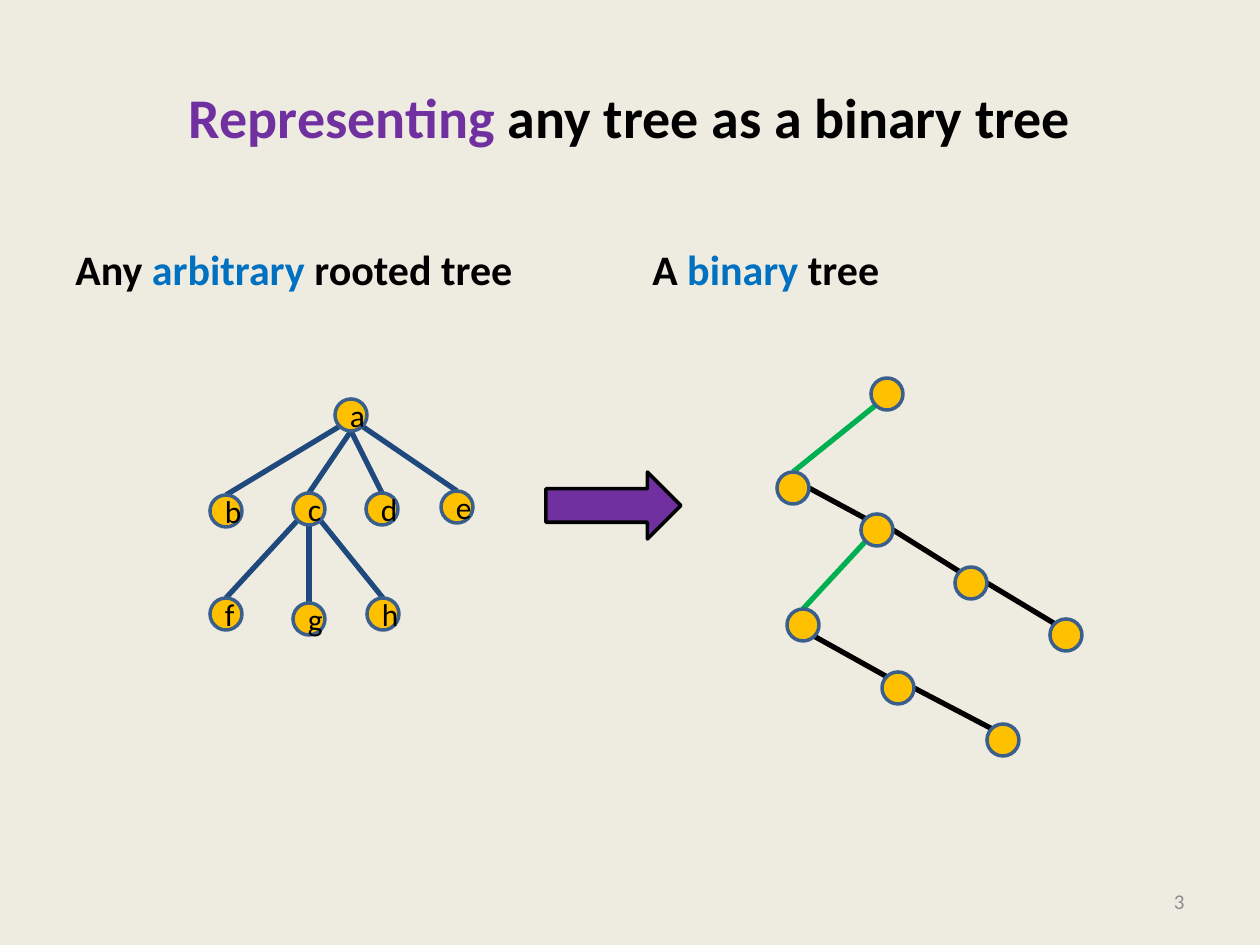
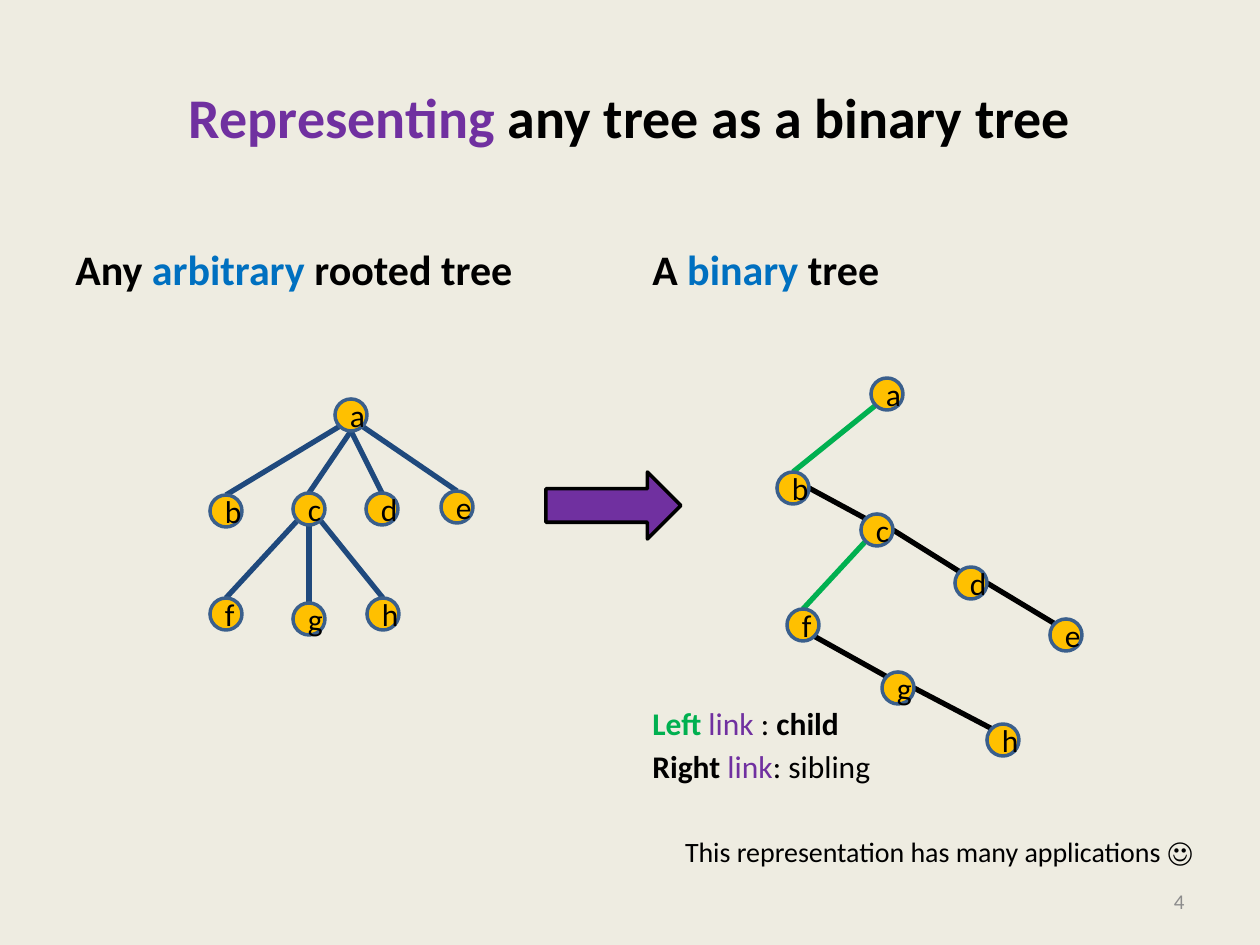
from dataclasses import dataclass
from pptx import Presentation, util as u
from pptx.dml.color import RGBColor
from pptx.enum import shapes, text
from pptx.oxml import parse_xml
from pptx.oxml.ns import nsdecls, qn
from lxml import etree


@dataclass(frozen=True)
class Theme:
    font: str = "Calibri"
    bg: str = "EEECE1"
    ink: str = "000000"
    purple: str = "7030A0"
    blue: str = "0070C0"
    green: str = "00B050"
    gold: str = "FFC000"
    node_line: str = "3A5F8C"
    edge: str = "1F497D"
    grey: str = "8C8C8C"
    title: int = 32
    heading: int = 24
    body: int = 18
    remark: int = 16
    number: int = 12


T = Theme()
PX = 914400 // 126  # EMU in one pixel
NODE = 32           # node diameter

# Content: each run is (text, colour, bold)
TITLE = [("Representing", T.purple, True), (" any tree as a binary tree", T.ink, True)]
HEADINGS = [
    (63, [("Any ", T.ink, True), ("arbitrary", T.blue, True), (" rooted tree", T.ink, True)]),
    (640, [("A ", T.ink, True), ("binary", T.blue, True), (" tree", T.ink, True)]),
]
LEGEND = [
    [("Left ", T.green, True), ("link", T.purple, False), (" : ", T.ink, False),
     ("child", T.ink, True)],
    [("Right ", T.ink, True), ("link", T.purple, False), (": sibling", T.ink, False)],
]
REMARK = [("This representation has many applications \u263a", T.ink, False)]

# Trees: node centres, then edges as (from, side, to, side, colour)
ROOTED = {
    "nodes": dict(a=(351, 415), b=(226, 511), c=(309, 509), d=(382, 509),
                  e=(457, 507), f=(226, 614), g=(309, 619), h=(383, 614)),
    "edges": [(start, side, end, "N", T.edge) for start, side, end in (
        ("a", "SW", "b"), ("a", "S", "c"), ("a", "S", "d"), ("a", "SE", "e"),
        ("c", "SW", "f"), ("c", "S", "g"), ("c", "SE", "h"))],
}
BINARY = {
    "nodes": dict(a=(887, 394), b=(793, 488), c=(877, 530), d=(971, 583),
                  e=(1066, 635), f=(803, 625), g=(898, 688), h=(1003, 740)),
    "edges": [("a", "SW", "b", "N", T.green), ("c", "SW", "f", "N", T.green)]
    + [(start, side, end, "NW", T.ink) for start, side, end in (
        ("b", "E", "c"), ("c", "E", "d"), ("d", "E", "e"),
        ("f", "SE", "g"), ("g", "E", "h"))],
}
DIAG = 0.71
SIDES = {"N": (0, -1), "S": (0, 1), "E": (1, 0), "NW": (-DIAG, -DIAG),
         "SW": (-DIAG, DIAG), "SE": (DIAG, DIAG)}

# (slide number, binary nodes are lettered and explained)
SLIDES = [(3, False), (4, True)]


def emu(*pixels):
    return [round(v * PX) for v in pixels]


def rgb(value):
    return RGBColor.from_string(value)


def add_runs(p, runs, size):
    for words, color, bold in runs:
        r = p.add_run()
        r.text = words
        r.font.name, r.font.size, r.font.bold = T.font, u.Pt(size), bold
        r.font.color.rgb = rgb(color)


def text_box(s, box, anchor):
    tf = s.shapes.add_textbox(*emu(*box)).text_frame
    tf.word_wrap, tf.vertical_anchor = True, anchor
    return tf


def style(sp, fill, line, width):
    sp.shadow.inherit = False
    sp.fill.solid()
    sp.fill.fore_color.rgb = rgb(fill)
    sp.line.color.rgb, sp.line.width = rgb(line), u.Pt(width)


def add_tree(s, tree, lettered):
    group = s.shapes.add_group_shape().shapes
    nodes = tree["nodes"]

    def site(name, side):
        return emu(*(c + d * NODE / 2 for c, d in zip(nodes[name], SIDES[side])))

    for start, side, end, end_side, color in tree["edges"]:
        line = group.add_connector(shapes.MSO_CONNECTOR.STRAIGHT,
                                   *site(start, side), *site(end, end_side))
        line.line.color.rgb, line.line.width = rgb(color), u.Pt(3)
        etree.SubElement(line._element.spPr, qn("a:effectLst"))
    for name, (x, y) in nodes.items():
        sp = group.add_shape(shapes.MSO_SHAPE.OVAL,
                             *emu(x - NODE / 2, y - NODE / 2, NODE, NODE))
        style(sp, T.gold, T.node_line, 2)
        if lettered:
            p = sp.text_frame.paragraphs[0]
            p.alignment = text.PP_ALIGN.CENTER
            add_runs(p, [(name, T.ink, False)], T.body)


def add_frame(s, number):
    # Title
    title = s.shapes.title
    title.left, title.top, title.width, title.height = emu(63, 38, 1134, 157)
    title.text_frame.vertical_anchor = text.MSO_ANCHOR.MIDDLE
    p = title.text_frame.paragraphs[0]
    p.alignment = text.PP_ALIGN.CENTER
    add_runs(p, TITLE, T.title)
    # Column headings
    for x, runs in HEADINGS:
        tf = text_box(s, (x, 212, 557, 88), text.MSO_ANCHOR.BOTTOM)
        add_runs(tf.paragraphs[0], runs, T.heading)
    # Slide number field
    p = text_box(s, (903, 876, 294, 50), text.MSO_ANCHOR.MIDDLE).paragraphs[0]
    p.alignment = text.PP_ALIGN.RIGHT
    p._p.append(parse_xml(
        f'<a:fld {nsdecls("a")} id="{{B6F15528-21DE-4FAA-801E-634DDDAF4B2B}}" type="slidenum">'
        f'<a:rPr lang="en-US" sz="{T.number * 100}"><a:solidFill><a:srgbClr val="{T.grey}"/>'
        f'</a:solidFill><a:latin typeface="{T.font}"/></a:rPr><a:t>{number}</a:t></a:fld>'))


def add_legend(s):
    tf = text_box(s, (640, 698, 598, 205), text.MSO_ANCHOR.TOP)
    add_runs(tf.paragraphs[0], LEGEND[0], T.body)
    p = tf.add_paragraph()
    p.space_before = u.Pt(3)
    add_runs(p, LEGEND[1], T.body)
    p = tf.add_paragraph()
    p.space_before, p.alignment = u.Pt(28), text.PP_ALIGN.CENTER
    add_runs(p, REMARK, T.remark)


# Build
prs = Presentation()
prs.slide_width, prs.slide_height = u.Inches(10), u.Inches(7.5)
background = prs.slide_master.background.fill
background.solid()
background.fore_color.rgb = rgb(T.bg)
first = prs.slides._sldIdLst.getparent()
first.set("firstSlideNum", str(SLIDES[0][0]))

for number, explained in SLIDES:
    s = prs.slides.add_slide(prs.slide_layouts[5])
    add_frame(s, number)
    if explained:
        add_legend(s)
    add_tree(s, ROOTED, True)
    add_tree(s, BINARY, explained)
    arrow = s.shapes.add_shape(shapes.MSO_SHAPE.RIGHT_ARROW, *emu(546, 472, 135, 67))
    style(arrow, T.purple, T.ink, 2)

prs.save("out.pptx")
